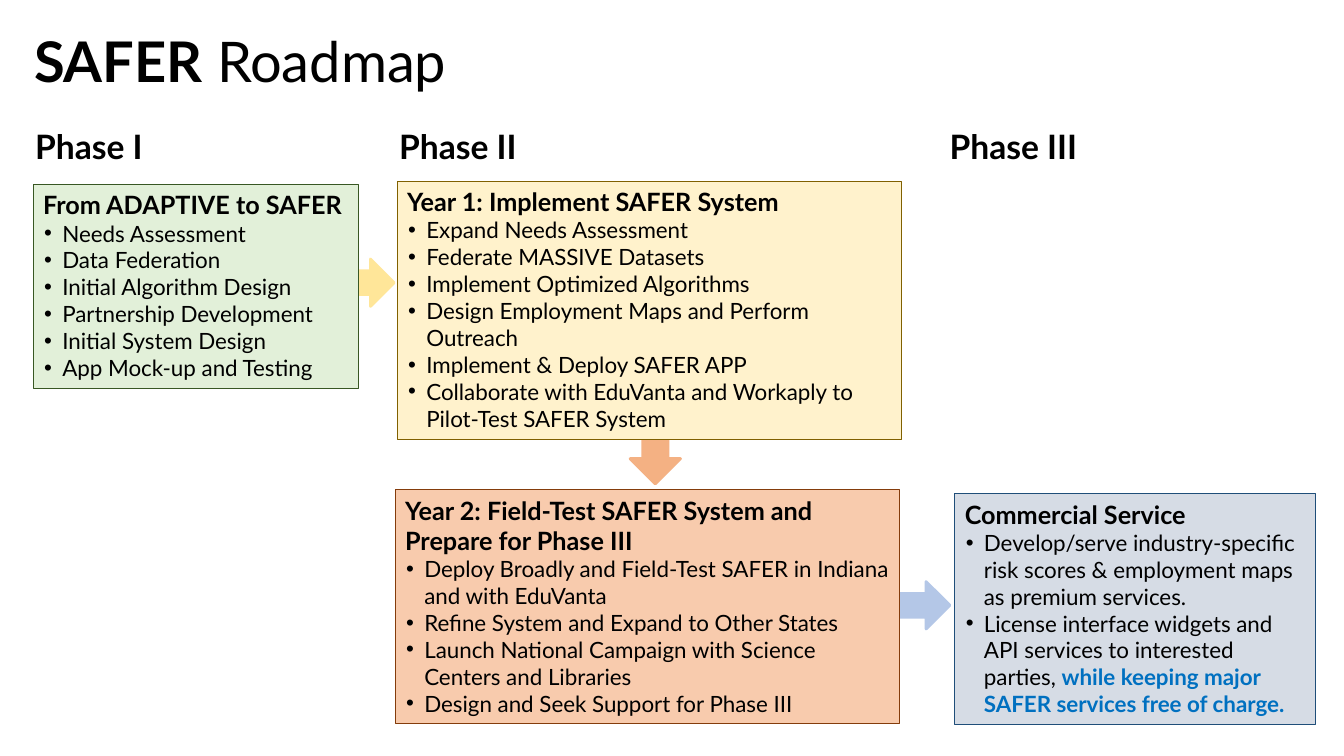
"""Build the SAFER Roadmap slide with its phases, steps and arrows."""
import pptx
import pptx.util
import pptx.dml.color
import pptx.enum.shapes
import pptx.enum.text
from pptx.oxml.ns import qn

Inches, Pt = pptx.util.Inches, pptx.util.Pt
ARROWS = pptx.enum.shapes.MSO_SHAPE
ANCHOR = pptx.enum.text.MSO_ANCHOR

FONT = "Lato"
COLORS = {
    "text": "000000", "accent": "0070C0",
    "green": "E2F0D9", "green line": "385723",
    "yellow": "FFF2CC", "yellow line": "806000",
    "orange": "F8CBAD", "orange line": "843C0B",
    "grey": "D6DCE5", "grey line": "1F4E79",
    "to year 1": "FFE699", "to year 2": "F4B183", "to service": "B4C7E7",
}
TITLE = [("SAFER", True), (" Roadmap", False)]
PHASES = [("Phase I", 0.25, 1.28), ("Phase II", 3.86, 1.39), ("Phase III", 9.32, 1.49)]
FLOWS = [
    ("to year 2", ARROWS.DOWN_ARROW, (6.25, 4.08, 0.5, 0.72)),
    ("to service", ARROWS.RIGHT_ARROW, (8.43, 5.77, 0.99, 0.47)),
    ("to year 1", ARROWS.RIGHT_ARROW, (2.91, 2.57, 1, 0.47)),
]
STEPS = [
    ("green", (0.33, 1.83, 3.23, 2.02), "From ADAPTIVE to SAFER", [
        "Needs Assessment",
        "Data Federation",
        "Initial Algorithm Design",
        "Partnership Development",
        "Initial System Design",
        "App Mock-up and Testing",
    ], ""),
    ("yellow", (3.94, 1.8, 5, 2.56), "Year 1: Implement SAFER System", [
        "Expand Needs Assessment",
        "Federate MASSIVE Datasets",
        "Implement Optimized Algorithms",
        "Design Employment Maps and Perform Outreach",
        "Implement & Deploy SAFER APP",
        "Collaborate with EduVanta and Workaply to Pilot-Test SAFER System",
    ], ""),
    ("orange", (3.92, 4.86, 5, 2.32),
     "Year 2: Field-Test SAFER System and Prepare for Phase III", [
        "Deploy Broadly and Field-Test SAFER in Indiana and with EduVanta",
        "Refine System and Expand to Other States",
        "Launch National Campaign with Science Centers and Libraries",
        "Design and Seek Support for Phase III",
     ], ""),
    ("grey", (9.47, 4.9, 3.58, 2.29), "Commercial Service", [
        "Develop/serve industry-specific risk scores & employment maps as premium services.",
        "License interface widgets and API services to interested parties, ",
    ], "while keeping major SAFER services free of charge."),
]


def rgb(name):
    return pptx.dml.color.RGBColor.from_string(COLORS[name])


def add_run(paragraph, text, size, bold, color="text"):
    run = paragraph.add_run()
    run.text = text
    run.font.name = FONT
    run.font.size = Pt(size)
    run.font.bold = bold
    run.font.color.rgb = rgb(color)


def add_bullet(paragraph):
    properties = paragraph._p.get_or_add_pPr()
    properties.set("marL", str(Inches(0.19)))
    properties.set("indent", str(Inches(-0.18)))
    for tag, attribute, value in [("a:buFont", "typeface", "Arial"), ("a:buChar", "char", "•")]:
        element = properties.makeelement(qn(tag), {attribute: value})
        properties.append(element)


def add_block(slide, preset, place, fill, line, width):
    block = slide.shapes.add_shape(preset, *map(Inches, place))
    block.shadow.inherit = False
    block.fill.solid()
    block.fill.fore_color.rgb = rgb(fill)
    block.line.color.rgb = rgb(line)
    block.line.width = Pt(width)
    return block


def add_label(slide, place, runs, size, wrap):
    frame = slide.shapes.add_textbox(*map(Inches, place)).text_frame
    frame.word_wrap = wrap
    for text, bold in runs:
        add_run(frame.paragraphs[0], text, size, bold)
    return frame


def add_step(slide, color, place, heading, tasks, promise):
    step = add_block(slide, ARROWS.RECTANGLE, place, color, color + " line", 0.75)
    frame = step.text_frame
    frame.word_wrap = True
    frame.vertical_anchor = ANCHOR.TOP
    add_run(frame.paragraphs[0], heading, 18, True)
    for task in tasks:
        paragraph = frame.add_paragraph()
        add_bullet(paragraph)
        add_run(paragraph, task, 16, False)
    if promise:
        add_run(paragraph, promise, 16, True, "accent")
    for paragraph in frame.paragraphs:
        paragraph.alignment = pptx.enum.text.PP_ALIGN.LEFT


def main():
    deck = pptx.Presentation()
    deck.slide_width, deck.slide_height = Inches(13.33), Inches(7.5)
    slide = deck.slides.add_slide(deck.slide_layouts[6])
    for color, preset, place in FLOWS:
        add_block(slide, preset, place, color, color, 2)
    for step in STEPS:
        add_step(slide, *step)
    for phase, left, width in PHASES:
        add_label(slide, (left, 1.2, width, 0.5), [(phase, True)], 24, False)
    title = add_label(slide, (0.24, 0.18, 12.32, 0.92), TITLE, 40, True)
    title.vertical_anchor = ANCHOR.MIDDLE
    title.paragraphs[0].line_spacing = 0.9
    deck.save("out.pptx")


if __name__ == "__main__":
    main()
